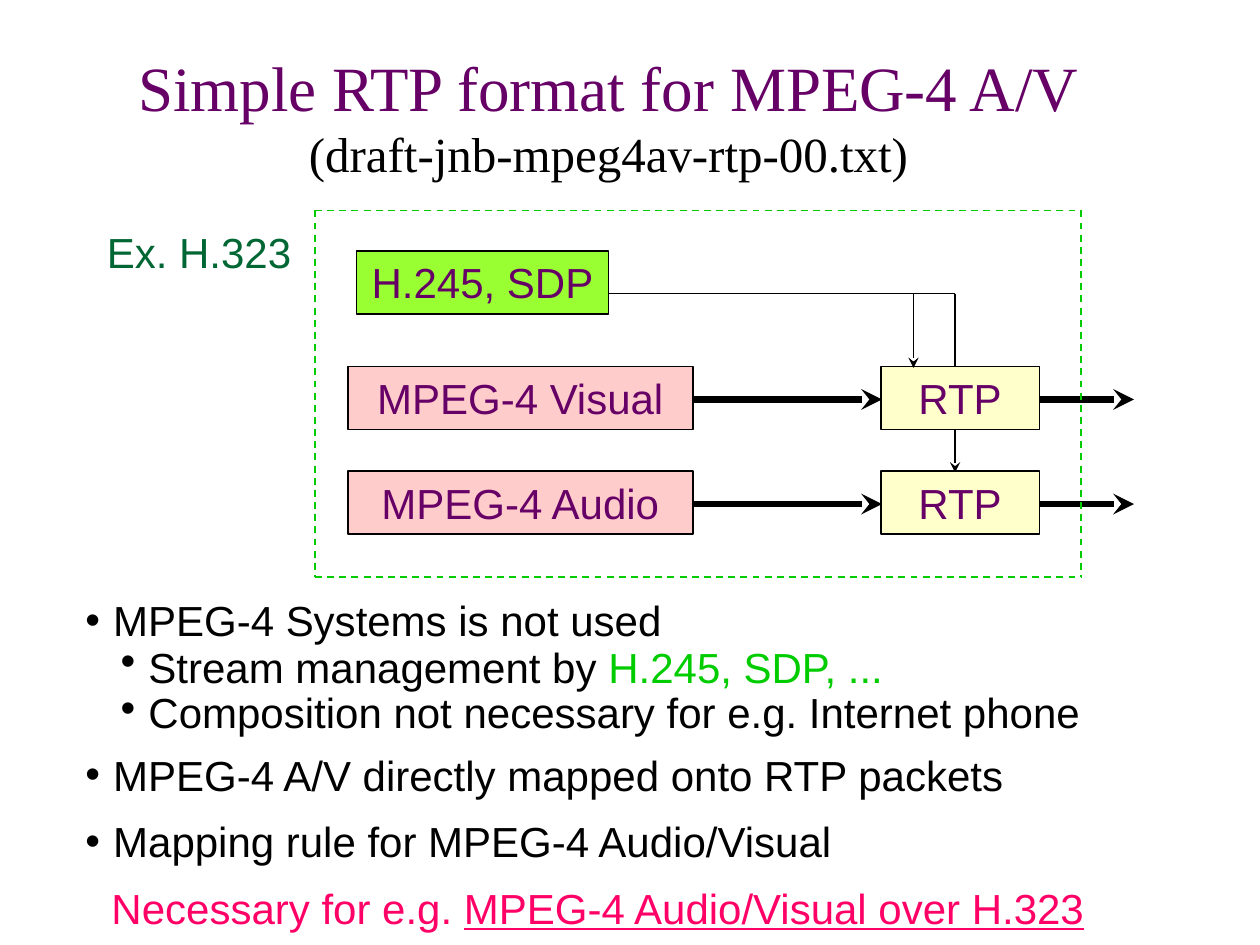
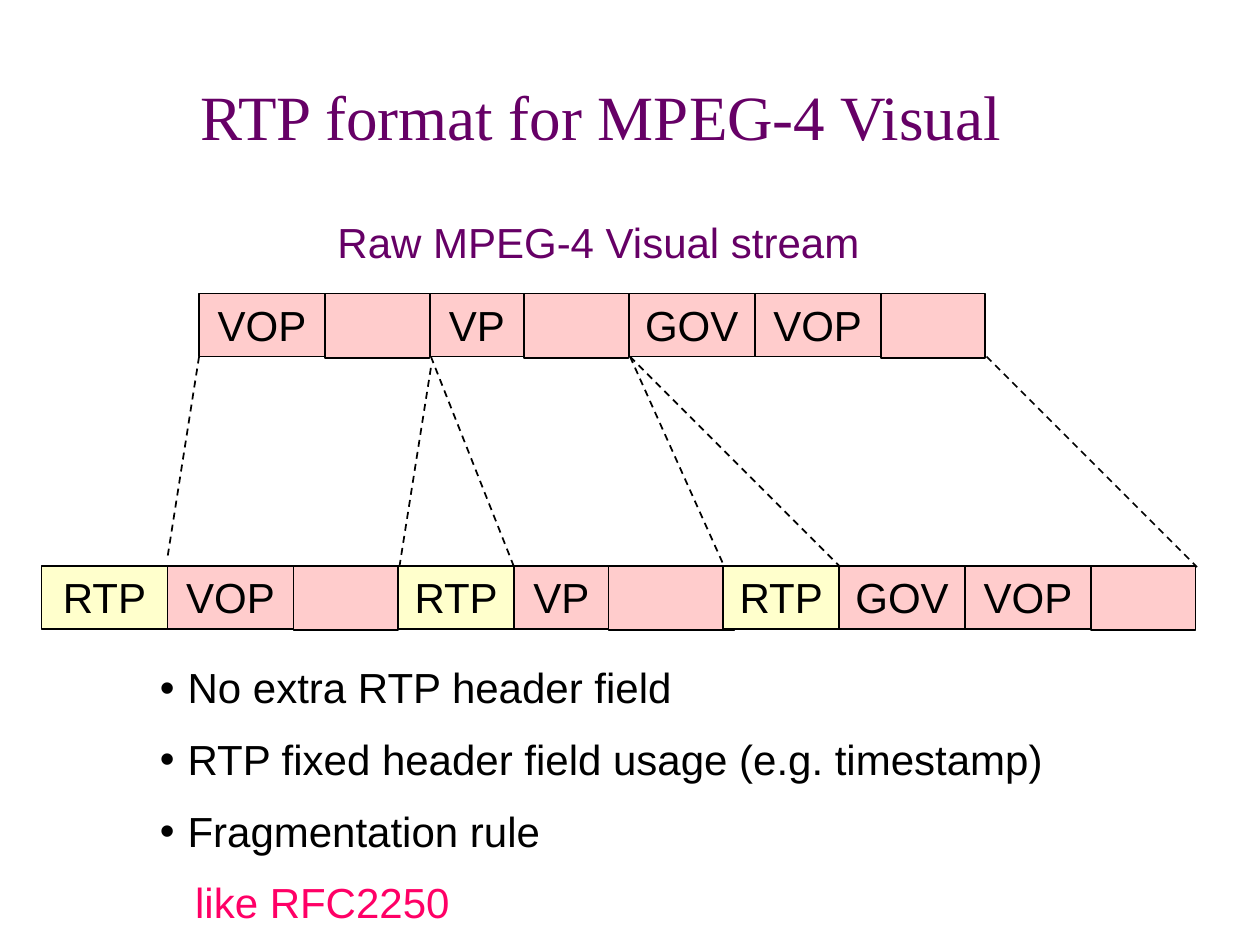
import pptx
import pptx.util
import pptx.dml.color
import pptx.enum.dml
import pptx.enum.shapes
import pptx.enum.text
import pptx.oxml.ns
from lxml import etree

Inches = pptx.util.Inches
Pt = pptx.util.Pt
RGBColor = pptx.dml.color.RGBColor
ALIGN = pptx.enum.text.PP_ALIGN
ANCHOR = pptx.enum.text.MSO_ANCHOR
qn = pptx.oxml.ns.qn

BLACK = RGBColor(0x00, 0x00, 0x00)
PURPLE = RGBColor(0x66, 0x00, 0x66)
PINK = RGBColor(0xFF, 0xCC, 0xCC)
CREAM = RGBColor(0xFF, 0xFF, 0xCC)
LIME = RGBColor(0x99, 0xFF, 0x33)
GREEN = RGBColor(0x00, 0xCC, 0x00)
DARK_GREEN = RGBColor(0x00, 0x66, 0x33)
MAGENTA = RGBColor(0xFF, 0x00, 0x66)

BODY_FONT = "Arial"
TITLE_FONT = "Times New Roman"
BODY_SIZE = 24
BOX_HEIGHT = 0.5
BULLET_GAP = 0.22
SUB_INDENT = 0.5


def add_span(para, text, color, size=BODY_SIZE, font=BODY_FONT, underline=None):
    span = para.add_run()
    span.text = text
    formats = {"name": font, "size": Pt(size), "underline": underline}
    for name, value in formats.items():
        setattr(span.font, name, value)
    span.font.color.rgb = color


def format_para(para, **formats):
    for name, value in {"space_before": Pt(15), **formats}.items():
        setattr(para, name, value)


def set_indent(para, margin, hanging=0.0):
    properties = para._p.get_or_add_pPr()
    properties.set("marL", str(Inches(margin)))
    properties.set("indent", str(Inches(-hanging)))


def add_bullet(para, margin):
    set_indent(para, margin, BULLET_GAP)
    properties = para._p.get_or_add_pPr()
    color = etree.SubElement(properties, qn("a:buClr"))
    etree.SubElement(color, qn("a:srgbClr"), val=str(BLACK))
    etree.SubElement(properties, qn("a:buFont"), typeface=BODY_FONT)
    etree.SubElement(properties, qn("a:buChar"), char="•")


def add_text_box(page, left, top, width, height):
    box = page.shapes.add_textbox(
        Inches(left), Inches(top), Inches(width), Inches(height))
    box.text_frame.word_wrap = True
    return box.text_frame


def add_label(page, left, top, width, text, color):
    frame = add_text_box(page, left, top, width, BOX_HEIGHT)
    format_para(frame.paragraphs[0])
    add_span(frame.paragraphs[0], text, color)


def add_title(page, title, subtitle=None):
    frame = add_text_box(page, 0.08, 0.25, 9.5, 1.33)
    frame.vertical_anchor = ANCHOR.MIDDLE
    para = frame.paragraphs[0]
    para.alignment = ALIGN.CENTER
    add_span(para, title, PURPLE, 36, TITLE_FONT)
    if subtitle:
        para.add_line_break()
        add_span(para, subtitle, BLACK, 28, TITLE_FONT)


def add_block(page, left, top, width, text, fill, color=BLACK):
    """Outlined rectangle; one without text is a little taller."""
    height = BOX_HEIGHT if text else BOX_HEIGHT + 0.01
    block = page.shapes.add_shape(
        pptx.enum.shapes.MSO_SHAPE.RECTANGLE,
        Inches(left), Inches(top), Inches(width), Inches(height))
    block.shadow.inherit = False
    block.fill.solid()
    block.fill.fore_color.rgb = fill
    block.line.color.rgb = BLACK
    block.line.width = Pt(1)
    if text:
        block.text_frame.vertical_anchor = ANCHOR.TOP
        para = block.text_frame.paragraphs[0]
        format_para(para, alignment=ALIGN.CENTER)
        add_span(para, text, color)


def add_line(page, start, end, color=BLACK, width=1, dashed=False, arrow=False):
    line = page.shapes.add_connector(
        pptx.enum.shapes.MSO_CONNECTOR.STRAIGHT,
        *(Inches(value) for value in (*start, *end)))
    line.line.color.rgb = color
    line.line.width = Pt(width)
    if dashed:
        line.line.dash_style = pptx.enum.dml.MSO_LINE.DASH
    if arrow:
        etree.SubElement(line.line._get_or_add_ln(), qn("a:tailEnd"), type="stealth")
    etree.SubElement(line._element.spPr, qn("a:effectLst"))


def add_list(page, left, top, width, height, items):
    """Each item is (spans, paragraph formats, bullet margin or None)."""
    frame = add_text_box(page, left, top, width, height)
    for index, (spans, formats, margin) in enumerate(items):
        para = frame.add_paragraph() if index else frame.paragraphs[0]
        format_para(para, **formats)
        if margin is not None:
            add_bullet(para, margin)
        for text, color, *underline in spans:
            add_span(para, text, color, underline=underline[0] if underline else None)
    return frame


def add_terminal(page, left, top):
    """H.323 terminal: signalling and two media streams inside a dashed frame."""
    right, bottom = left + 6.08, top + 2.91
    signal_y = top + 0.66
    visual_top, audio_top = top + 1.24, top + 2.07
    visual_drop, audio_drop = left + 4.75, left + 5.08

    add_block(page, left + 0.33, top + 0.32, 2, "H.245, SDP", LIME, PURPLE)
    add_line(page, (left + 2.33, signal_y), (audio_drop, signal_y))
    add_line(page, (audio_drop, signal_y), (audio_drop, audio_top + 0.01), arrow=True)

    for name, row_top in (("Visual", visual_top), ("Audio", audio_top)):
        add_block(page, left + 0.26, row_top, 2.74, f"MPEG-4 {name}", PINK, PURPLE)
        add_block(page, left + 4.49, row_top, 1.26, "RTP", CREAM, PURPLE)
        flow_y = row_top + 0.26
        for start, end in ((3, 4.5), (5.75, 6.5)):
            add_line(page, (left + start, flow_y), (left + end, flow_y),
                     width=4, arrow=True)
    add_line(page, (visual_drop, signal_y), (visual_drop, visual_top + 0.01), arrow=True)

    for y in (top, bottom):
        add_line(page, (left, y), (right, y), GREEN, dashed=True)
    for x in (left, right):
        add_line(page, (x, top), (x, bottom), GREEN, dashed=True)


def add_packet(page, left, top, cells):
    """Cells (text, width) laid end to end; RTP headers stand out in cream."""
    for text, width in cells:
        add_block(page, left, top, width, text, CREAM if text == "RTP" else PINK)
        left += width


def add_packetizing(page, stream_top, packet_top):
    vop, gov, payload = ("VOP", 1), ("GOV", 1), ("", 0.83)
    vp, header = ("VP", 0.75), ("RTP", 0.92)

    add_packet(page, 1.58, stream_top, [vop, payload, vp, payload, gov, vop, payload])
    packets = (
        (0.33, [("RTP", 1), vop, payload]),
        (3.16, [header, vp, ("", 1)]),
        (5.74, [header, gov, vop, payload]),
    )
    for left, cells in packets:
        add_packet(page, left, packet_top, cells)

    stream_bottom, packet_edge = stream_top + BOX_HEIGHT, packet_top + 0.01
    guides = (
        ((1.58, stream_bottom), (1.33, packet_edge - 0.08)),
        ((3.42, stream_bottom + 0.09), (3.17, packet_edge)),
        ((3.42, stream_bottom), (4.08, packet_edge)),
        ((5, stream_bottom), (5.75, packet_edge)),
        ((5, stream_bottom), (6.67, packet_edge)),
        ((7.83, stream_bottom), (9.5, packet_edge)),
    )
    for start, end in guides:
        add_line(page, start, end, dashed=True)


def build_simple_format(page):
    add_title(page, "Simple RTP format for MPEG-4 A/V", "(draft-jnb-mpeg4av-rtp-00.txt)")
    add_terminal(page, 2.5, 1.67)
    add_label(page, 0.75, 1.75, 1.67, "Ex. H.323", DARK_GREEN)
    main = {"line_spacing": 0.8}
    add_list(page, 0.58, 4.75, 8.33, 2.7, [
        ([("MPEG-4 Systems is not used", BLACK)], main, BULLET_GAP),
        ([("Stream management by ", BLACK), ("H.245, SDP, ...", GREEN)],
         {"line_spacing": 0.3}, SUB_INDENT),
        ([("Composition not necessary for e.g. Internet phone", BLACK)],
         {"line_spacing": 0.4}, SUB_INDENT),
        ([("MPEG-4 A/V directly mapped onto RTP packets", BLACK)], main, BULLET_GAP),
        ([("Mapping rule for MPEG-4 Audio/Visual", BLACK)], main, BULLET_GAP),
        ([("Necessary for e.g. ", MAGENTA),
          ("MPEG-4 Audio/Visual over H.323", MAGENTA, True)],
         {**main, "alignment": ALIGN.CENTER}, None),
    ])


def build_visual_format(page):
    add_title(page, "RTP format for MPEG-4 Visual ")
    add_label(page, 2.58, 1.67, 4.58, "Raw MPEG-4 Visual stream", PURPLE)
    add_packetizing(page, 2.33, 4.49)
    spacing = {"line_spacing": 0.9}
    points = ("No extra RTP header field",
              "RTP fixed header field usage (e.g. timestamp)",
              "Fragmentation rule")
    items = [([(point, BLACK)], spacing, BULLET_GAP) for point in points]
    items.append(([("like RFC2250", MAGENTA)], spacing, None))
    frame = add_list(page, 1.17, 5.25, 7.58, 2.17, items)
    set_indent(frame.paragraphs[-1], 0.28)


def main():
    deck = pptx.Presentation()
    deck.slide_width, deck.slide_height = Inches(10), Inches(7.5)
    for build in (build_simple_format, build_visual_format):
        build(deck.slides.add_slide(deck.slide_layouts[6]))
    deck.save("out.pptx")


if __name__ == "__main__":
    main()
